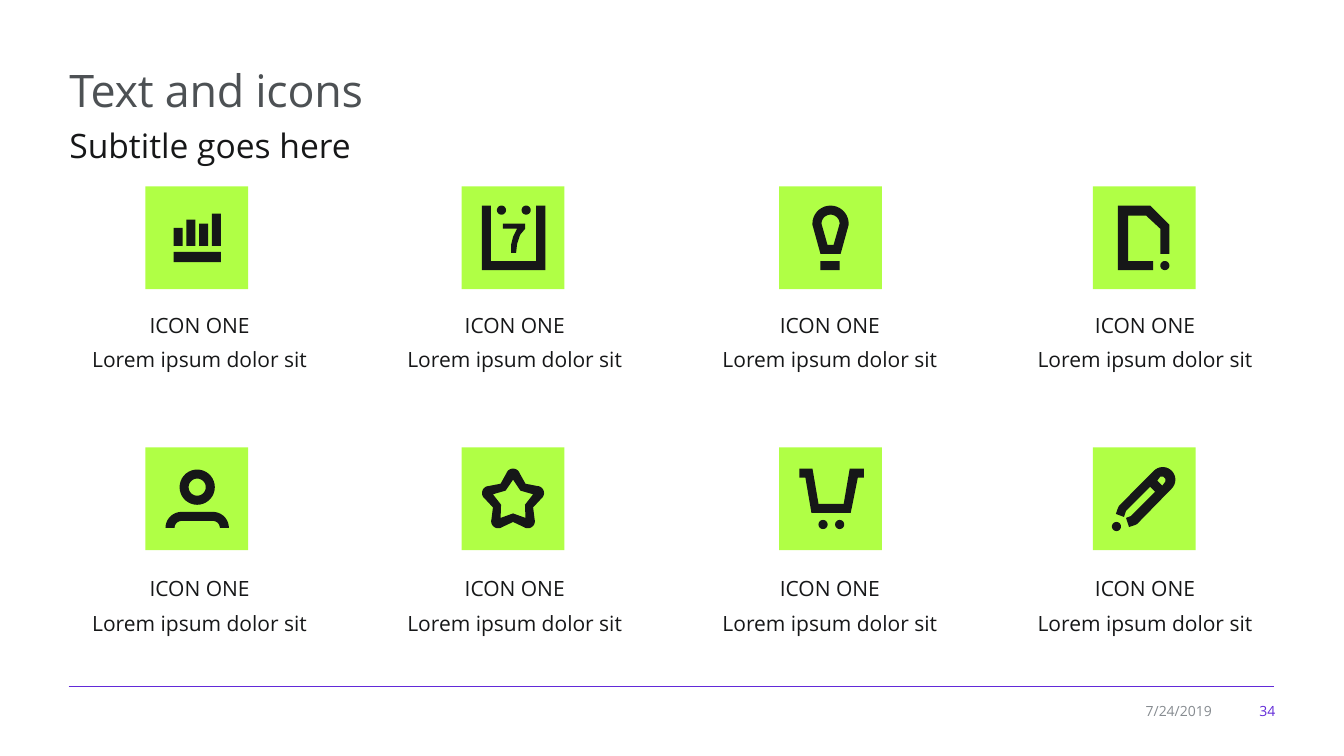
import math
import pptx
import pptx.dml.color
import pptx.enum.shapes
import pptx.enum.text
import pptx.util
import lxml.etree

Pt = pptx.util.Pt
ALIGN = pptx.enum.text.PP_ALIGN
SHAPE = pptx.enum.shapes.MSO_SHAPE
INK, LIME, PURPLE = "161718", "B0FF45", "622AD8"
SIDE = 73.4
GRID = 102


def color(code):
    return pptx.dml.color.RGBColor.from_string(code)


def paint(shape, code):
    shape.shadow.inherit = False
    shape.fill.solid()
    shape.fill.fore_color.rgb = color(code)
    shape.line.fill.background()


def write(slide, box, text, size, code, align=ALIGN.LEFT, lines=1.0):
    frame = slide.shapes.add_textbox(*[Pt(n) for n in box]).text_frame
    frame.word_wrap = True
    frame.vertical_anchor = pptx.enum.text.MSO_ANCHOR.MIDDLE
    para = frame.paragraphs[0]
    para.text = text
    para.alignment = align
    para.line_spacing = lines
    para.font.name = "Open Sans"
    para.font.size = Pt(size)
    para.font.color.rgb = color(code)
    return para


def arc(x, y, radius, start=0, end=360):
    count = max(6, abs(end - start) // 10)
    turns = [math.radians(start + (end - start) * i / count)
             for i in range(count + 1)]
    return [(x + radius * math.cos(t), y + radius * math.sin(t))
            for t in turns]


def dot(x, y):
    return arc(x, y, 4.5)


def block(x, y, wide, high):
    return [(x, y), (x + wide, y), (x + wide, y + high), (x, y + high)]


def bars():
    tops = [41, 33, 37, 27]
    return [block(28, 65, 47, 10)] + [
        block(28 + 12.67 * i, top, 9, 59 - top)
        for i, top in enumerate(tops)]


def date():
    frame = [(83, 19), (83, 83), (20, 83), (20, 19),
             (29, 19), (29, 74), (74, 74), (74, 19)]
    seven = [(54, 66), (55, 57), (58, 48), (63, 42), (63, 37), (41, 37),
             (41, 42), (55, 42), (51, 50), (49, 58), (49, 66)]
    return [frame, seven, dot(39.5, 23.5), dot(64, 23.5)]


def bulb():
    outer = arc(51, 37, 18, 180, 360) + [(69, 38), (61, 67), (41, 67), (33, 38)]
    inner = arc(51, 37, 9, 180, 360) + [(54, 58), (48, 58)]
    return [outer, inner, block(41, 74, 19, 9)]


def page():
    sheet = [(76, 38), (76, 67), (67, 67), (67, 42), (53, 29), (35, 29),
             (35, 74), (60, 74), (60, 83), (25, 83), (25, 19), (57, 19)]
    return [sheet, dot(71.5, 78.5)]


def user():
    body = (arc(67, 80, 7, 0, -90) + arc(36, 80, 7, 270, 180)
            + arc(36, 80, 16, 180, 270) + arc(67, 80, 16, 270, 360))
    return [arc(51.5, 39.5, 17.5), arc(51.5, 39.5, 8.5), body]


def star():
    def spot(radius, angle):
        turn = math.radians(angle)
        return 51 + radius * math.cos(turn), 53 + radius * math.sin(turn)

    outer, inner = [], []
    for angle in range(-90, 270, 72):
        outer += arc(*spot(25, angle), 7, angle - 70, angle + 70)
        outer.append(spot(21, angle + 36))
        inner += [spot(21, angle), spot(12.5, angle + 36)]
    return [outer, inner]


def cart():
    basket = [(84, 21), (84, 30), (78, 30), (71, 65), (32, 65), (26, 30),
              (20, 30), (20, 21), (33, 21), (39, 56), (64, 56), (70, 21)]
    return [basket, dot(43.5, 76.5), dot(60, 76.5)]


def pencil():
    shaft = arc(69.5, 32, 12.5, -135, 45) + [
        (44, 76), (42, 77), (36, 79), (33, 70), (38, 68), (62, 44), (57, 39),
        (33, 63), (31, 69), (23, 66), (25, 60), (26, 58)]
    hole = [(72, 34), (72, 31), (70, 29), (67, 29), (64, 33), (69, 38)]
    return [shaft, hole, dot(23.5, 78.5)]


def icon(slide, left, top, rings):
    tile = slide.shapes.add_shape(
        SHAPE.RECTANGLE, Pt(left), Pt(top), Pt(SIDE), Pt(SIDE))
    paint(tile, LIME)
    unit = SIDE / GRID
    rings = [[(Pt(left + x * unit), Pt(top + y * unit)) for x, y in ring]
             for ring in rings]
    pen = slide.shapes.build_freeform(*rings[0][0])
    for ring in rings:
        if ring is not rings[0]:
            pen.move_to(*ring[0])
        pen.add_line_segments(ring[1:], close=True)
    paint(pen.convert_to_shape(), INK)


def label(slide, left, top):
    write(slide, (left, top, 208.8, 25.2), "ICON ONE", 15, INK, ALIGN.CENTER)
    write(slide, (left, top + 20.9, 208.8, 28.1), "Lorem ipsum dolor sit",
          15, INK, ALIGN.CENTER, 1.25)


def grid(slide, left, top):
    rows = [(bars, date, bulb, page), (user, star, cart, pencil)]
    shifts = [0, 226, 452.8, 676.8]
    for row, draws in enumerate(rows):
        for col, draw in enumerate(draws):
            icon(slide, left + 65.6 + shifts[col], top + 186.4 * row, draw())
            label(slide, left + 225.1 * col, top + 86.4 + 188 * row)


def head(slide, left, top):
    title = write(slide, (left, top, 875.5, 47.5), "Text and icons", 32, "4D5154")
    title.runs[0].font._element.set("spc", "-20")
    write(slide, (left, top + 41.8, 866.2, 38.9), "Subtitle goes here",
          24, INK, lines=1.17)


def foot(slide, left, top, wide):
    rule = slide.shapes.add_connector(
        pptx.enum.shapes.MSO_CONNECTOR.STRAIGHT,
        Pt(left), Pt(top), Pt(left + wide), Pt(top))
    rule.line.color.rgb = color(PURPLE)
    rule.line.width = Pt(0.75)
    lxml.etree.SubElement(
        rule._element.spPr, pptx.oxml.ns.qn("a:effectLst"))
    right = left + wide + 7.9
    write(slide, (right - 36.7, top + 7.9, 36.7, 18.7), "34", 10, PURPLE,
          ALIGN.RIGHT)
    write(slide, (right - 113.8, top + 7.9, 68.4, 18.7), "7/24/2019", 10,
          "868B90", ALIGN.RIGHT)


def main():
    deck = pptx.Presentation()
    deck.slide_width, deck.slide_height = Pt(960), Pt(540)
    slide = deck.slides.add_slide(deck.slide_layouts[6])
    foot(slide, 49, 490.3, 861.1)
    head(slide, 42.5, 40.3)
    grid(slide, 38.2, 133.2)
    deck.save("out.pptx")


if __name__ == "__main__":
    main()
